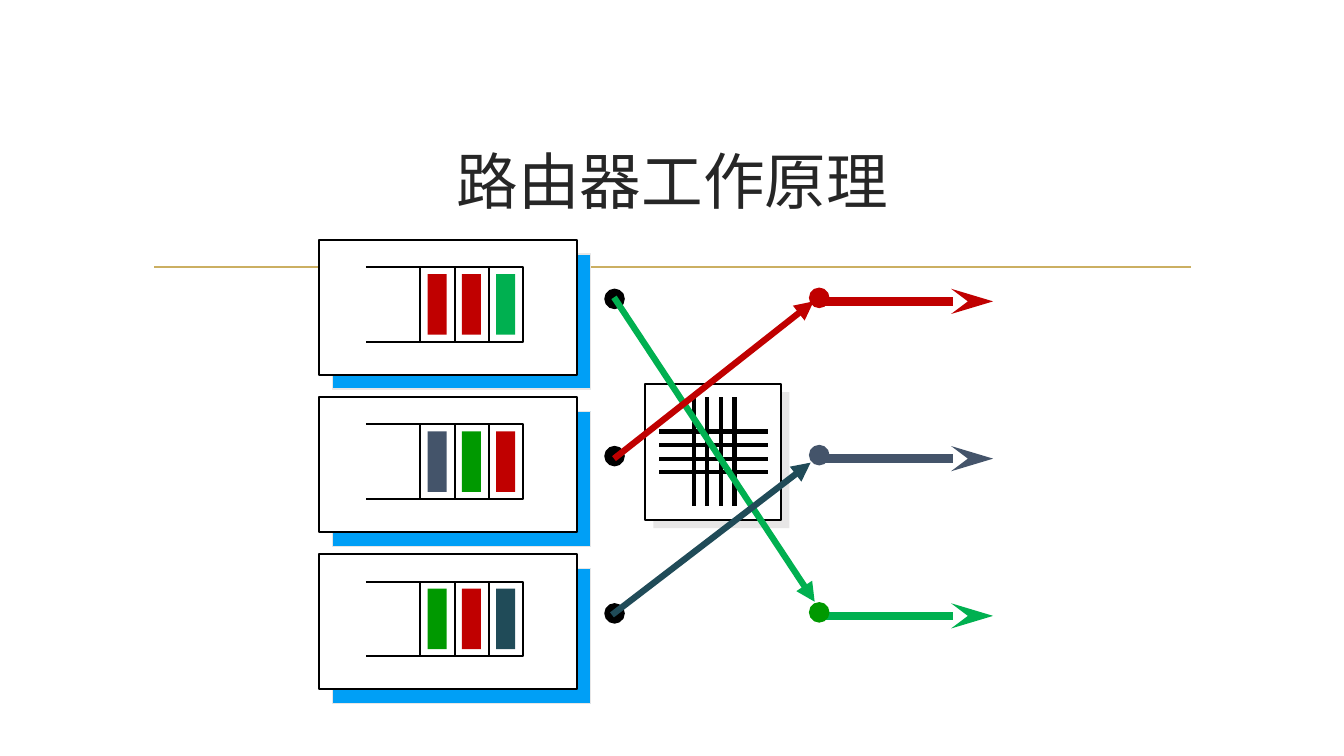
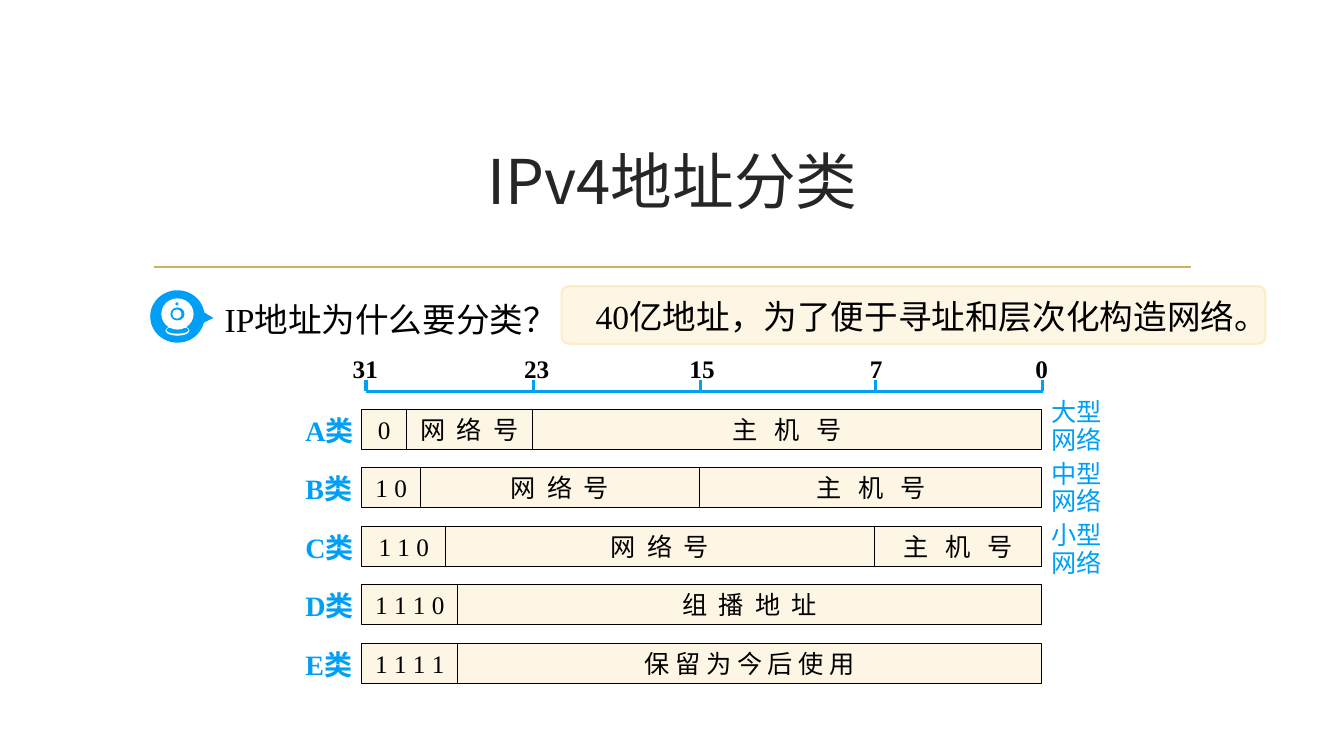
"""Build two slides: how a router works, and the IPv4 address classes."""
from lxml import etree
from pptx import Presentation
from pptx import util as u
from pptx.dml.color import RGBColor
from pptx.enum import shapes, text
from pptx.oxml import ns

COLOURS = {
    "black": "000000", "white": "FFFFFF", "title": "262626", "gold": "CBAF62",
    "blue": "009FF6", "grey": "E7E6E6", "red": "C00000", "green": "00B050",
    "leaf": "009900", "slate": "44546A", "teal": "204B58",
    "cream": "FEF6E5", "sand": "FDECC7",
}
SERIF = "Times New Roman"
SANS = "Noto Sans CJK SC"
SHAPE = shapes.MSO_SHAPE


def colour(name):
    return RGBColor.from_string(COLOURS[name])


def add_xml(parent, tag, **attributes):
    return etree.SubElement(parent, ns.qn(tag), attributes)


def write(shape, content, size=18, font=SERIF, tint="black", bold=False,
          align="LEFT", anchor="TOP", leading=None, spacing=0, inset=None, wrap=True):
    frame = shape.text_frame
    frame.word_wrap = wrap
    frame.vertical_anchor = getattr(text.MSO_ANCHOR, anchor)
    if inset is not None:
        frame.margin_left = frame.margin_right = u.Inches(inset)
    para = frame.paragraphs[0]
    para.alignment = getattr(text.PP_ALIGN, align)
    if leading:
        para.line_spacing = leading
    span = para.add_run()
    span.text = content
    span.font.size = u.Pt(size)
    span.font.bold = bold
    span.font.color.rgb = colour(tint)
    span.font.name = font
    properties = span.font._element
    add_xml(properties, "a:ea", typeface=SANS)
    if spacing:
        properties.set("spc", str(spacing * 100))


class Board:
    """Hold the deck style and the current slide."""

    def __init__(self):
        self.deck = Presentation()
        self.deck.slide_width = u.Inches(13.33)
        self.deck.slide_height = u.Inches(7.5)
        self.page = None

    def start(self, title):
        self.page = self.deck.slides.add_slide(self.deck.slide_layouts[6])
        self.line(1.53, 2.65, 11.81, 2.65, "gold", 1.25)
        self.label(1.42, 1.07, 10.5, 1.43, title, size=44, font=SANS,
                   tint="title", align="CENTER", anchor="MIDDLE")

    def paint(self, shape, fill, line, width):
        shape.shadow.inherit = False
        if fill:
            shape.fill.solid()
            shape.fill.fore_color.rgb = colour(fill)
        else:
            shape.fill.background()
        if line:
            shape.line.color.rgb = colour(line)
            shape.line.width = u.Pt(width)
        else:
            shape.line.fill.background()
        return shape

    def box(self, left, top, width, height, fill, line=None, weight=1.5,
            kind=SHAPE.RECTANGLE, adjust=()):
        shape = self.page.shapes.add_shape(
            kind, u.Inches(left), u.Inches(top), u.Inches(width), u.Inches(height))
        for index, value in enumerate(adjust):
            shape.adjustments[index] = value
        return self.paint(shape, fill, line, weight)

    def raised(self, left, top, width, height, offset, back, edge=None):
        self.box(left + offset, top + offset, width, height, back, edge, 1)
        self.box(left, top, width, height, "white", "black")

    def dot(self, left, top, width, height, fill, line=None):
        self.box(left, top, width, height, fill, line, 1, SHAPE.OVAL)

    def outline(self, points, line, width):
        corners = [(u.Inches(x), u.Inches(y)) for x, y in points]
        builder = self.page.shapes.build_freeform(*corners[0])
        builder.add_line_segments(corners[1:], close=False)
        self.paint(builder.convert_to_shape(), None, line, width)

    def line(self, x1, y1, x2, y2, tint, width, arrow=None, length="med"):
        link = self.page.shapes.add_connector(
            shapes.MSO_CONNECTOR.STRAIGHT,
            u.Inches(x1), u.Inches(y1), u.Inches(x2), u.Inches(y2))
        link.line.color.rgb = colour(tint)
        link.line.width = u.Pt(width)
        if arrow:
            add_xml(link.line._get_or_add_ln(), "a:tailEnd",
                    type=arrow, w="med", len=length)
        add_xml(link._element.spPr, "a:effectLst")

    def label(self, left, top, width, height, content, **style):
        shape = self.page.shapes.add_textbox(
            u.Inches(left), u.Inches(top), u.Inches(width), u.Inches(height))
        write(shape, content, **style)


def draw_queue(board, top, packets):
    board.raised(3.16, top, 2.56, 1.34, 0.14, "blue", "grey")
    upper, lower = top + 0.27, top + 1.01
    board.outline([(3.63, upper), (5.19, upper), (5.19, lower), (3.63, lower)],
                  "black", 1.5)
    for index, packet in enumerate(packets):
        left = 4.17 + 0.34 * index
        board.line(left, upper, left, lower, "black", 1.5)
        board.box(left + 0.07, top + 0.34, 0.19, 0.6, packet)


def router_slide(board):
    board.start("路由器工作原理")
    board.raised(6.4, 3.81, 1.35, 1.35, 0.08, "grey")
    for index in range(4):
        shift = 0.135 * index
        board.line(6.88 + shift, 3.94, 6.88 + shift, 5.02, "black", 3)
        board.line(6.54, 4.28 + shift, 7.62, 4.28 + shift, "black", 3)
    ports = [
        (("red", "red", "green"), "red", "red"),
        (("slate", "leaf", "red"), "slate", "slate"),
        (("leaf", "red", "teal"), "green", "leaf"),
    ]
    for index, (packets, arrow, exit_dot) in enumerate(ports):
        top = 2.38 + 1.56 * index
        draw_queue(board, top, packets)
        board.dot(6, top + 0.49, 0.19, 0.19, "black", "black")
        board.line(8.16, top + 0.61, 9.85, top + 0.61, arrow, 6, "stealth", "lg")
        board.dot(8.03, top + 0.48, 0.19, 0.19, exit_dot, exit_dot)
    for x1, y1, x2, y2, tint in [
        (6.09, 2.95, 8.08, 5.97, "green"),
        (6.09, 4.55, 8.07, 2.99, "red"),
        (6.07, 6.1, 8.04, 4.59, "teal"),
    ]:
        board.line(x1, y1, x2, y2, tint, 4.5, "triangle")


def draw_question(board):
    board.box(1.49, 2.88, 0.54, 0.52, "blue", kind=SHAPE.OVAL_CALLOUT,
              adjust=(0.661, 0.028))
    for left, top, width, height, fill in [
        (1.64, 3.23, 0.24, 0.1, "white"),
        (1.65, 3.24, 0.22, 0.07, "blue"),
        (1.6, 2.96, 0.32, 0.31, "white"),
        (1.69, 3.05, 0.14, 0.13, "blue"),
        (1.71, 3.07, 0.09, 0.09, "white"),
        (1.74, 3, 0.03, 0.03, "blue"),
    ]:
        board.dot(left, top, width, height, fill)
    board.label(2.13, 2.88, 3.58, 0.52, "IP地址为什么要分类？", size=24, leading=1.1)
    board.box(5.57, 2.84, 6.98, 0.57, "cream", "sand",
              kind=SHAPE.ROUNDED_RECTANGLE, adjust=(0.124,))
    board.label(5.81, 2.89, 6.9, 0.5, "40亿地址，为了便于寻址和层次化构造网络。",
                size=24)


def address_slide(board):
    board.start("IPv4地址分类")
    draw_question(board)

    board.line(3.63, 3.88, 10.34, 3.88, "blue", 2.25)
    for bit, tick, left, width in [
        ("31", 3.63, 3.4, 0.54), ("23", 5.29, 5.1, 0.54), ("15", 6.95, 6.74, 0.54),
        ("7", 8.68, 8.53, 0.34), ("0", 10.34, 10.17, 0.34),
    ]:
        board.line(tick, 3.88, tick, 3.77, "blue", 2.25)
        board.label(left, 3.46, width, 0.4, bit, bold=True)

    network, host = ("网 络 号", 2), ("主 机 号", 4)
    classes = [
        ("A类", (3.59, 4.03, 5.28, 10.33), [("0", 0), network, host]),
        ("B类", (3.59, 4.17, 6.94, 10.33), [("1 0", 0), network, host]),
        ("C类", (3.59, 4.42, 8.67, 10.33), [("1 1 0", 0), network, host]),
        ("D类", (3.59, 4.54, 10.33), [("1 1 1 0", 0), ("组 播 地 址", 2)]),
        ("E类", (3.59, 4.54, 10.33), [("1 1 1 1", 0), ("保 留 为 今 后 使 用", 0)]),
    ]
    for index, (name, edges, fields) in enumerate(classes):
        top = 4.06 + 0.58 * index
        board.label(2.93, top - 0.01, 0.77, 0.44, name, size=20, tint="blue", bold=True)
        for left, right, (content, spacing) in zip(edges, edges[1:], fields):
            cell = board.box(left, top, right - left, 0.4, "cream", "black", 0.75)
            write(cell, content, align="CENTER", anchor="MIDDLE",
                  spacing=spacing, inset=0, wrap=False)

    for index, scale in enumerate(["大型网络", "中型网络", "小型网络"]):
        board.label(10.33, 3.92 + 0.61 * index, 0.93, 0.65, scale,
                    tint="blue", leading=0.9)


def main():
    board = Board()
    router_slide(board)
    address_slide(board)
    board.deck.save("out.pptx")


if __name__ == "__main__":
    main()
